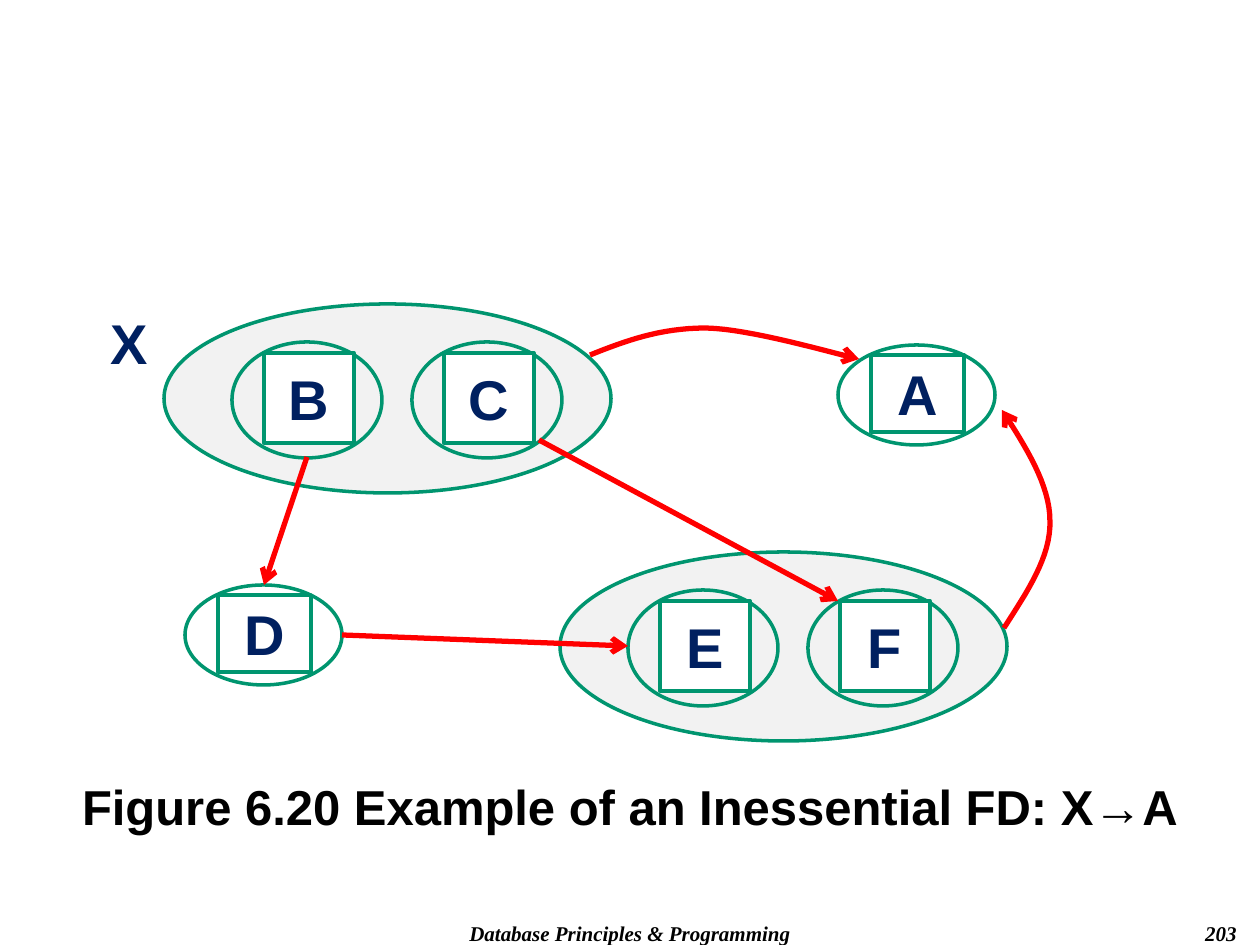
from lxml import etree
from pptx import Presentation
from pptx import util as u
from pptx.dml.color import RGBColor
from pptx.enum import shapes, text
from pptx.oxml import ns

SCALE = 914400 / 126
GREEN = RGBColor(0x00, 0x95, 0x6F)
GREY = RGBColor(0xF2, 0xF2, 0xF2)
WHITE = RGBColor(0xFF, 0xFF, 0xFF)
NAVY = RGBColor(0x00, 0x20, 0x60)
BLACK = RGBColor(0, 0, 0)
RED = RGBColor(0xFF, 0, 0)
CURVE_STEPS = 16


def px(*lengths):
    return [u.Emu(round(length * SCALE)) for length in lengths]


def write(shape, words, size, color, font="Arial", italic=False,
          align=text.PP_ALIGN.CENTER, middle=False):
    frame = shape.text_frame
    frame.word_wrap = True
    frame.text = words
    if middle:
        frame.vertical_anchor = text.MSO_ANCHOR.MIDDLE
        frame.margin_left = frame.margin_right = 0
        frame.margin_top = frame.margin_bottom = 0
    para = frame.paragraphs[0]
    para.alignment = align
    span = para.runs[0].font
    span.name, span.size, span.color.rgb = font, u.Pt(size), color
    span.bold, span.italic = True, italic


def add_text(page, bounds, words, size, color, **style):
    box = page.shapes.add_textbox(*px(*bounds))
    write(box, words, size, color, **style)


def add_outline(page, kind, bounds, fill=None):
    shape = page.shapes.add_shape(kind, *px(*bounds))
    shape.shadow.inherit = False
    shape.line.color.rgb = GREEN
    shape.line.width = u.Pt(2)
    if fill is None:
        shape.fill.background()
    else:
        shape.fill.solid()
        shape.fill.fore_color.rgb = fill
    return shape


def add_attribute(page, words, oval, square):
    add_outline(page, shapes.MSO_SHAPE.OVAL, oval)
    box = add_outline(page, shapes.MSO_SHAPE.RECTANGLE, square, WHITE)
    write(box, words, 32, NAVY, middle=True)


def add_single(page, words, left, top):
    add_attribute(page, words, (left, top, 157, 100),
                  (left + 33, top + 10, 93, 77))


def add_pair(page, names, left, top):
    add_outline(page, shapes.MSO_SHAPE.OVAL, (left, top, 447, 189), GREY)
    for index, name in enumerate(names):
        start = left + 180 * index
        add_attribute(page, name, (start + 68, top + 38, 150, 116),
                      (start + 100, top + 49, 90, 90))


def style_arrow(shape):
    shape.line.color.rgb = RED
    shape.line.width = u.Pt(3)
    outline = shape.element.spPr.find(ns.qn("a:ln"))
    etree.SubElement(outline, ns.qn("a:tailEnd"), type="arrow")


def add_arrow(page, start, end):
    arrow = page.shapes.add_connector(
        shapes.MSO_CONNECTOR.STRAIGHT, *px(*start, *end))
    style_arrow(arrow)
    etree.SubElement(arrow.element.spPr, ns.qn("a:effectLst"))


def bezier(points, t):
    weights = ((1 - t) ** 3, 3 * t * (1 - t) ** 2, 3 * t * t * (1 - t), t ** 3)
    return [sum(w * point[axis] for w, point in zip(weights, points))
            for axis in (0, 1)]


def add_curved_arrow(page, points):
    builder = page.shapes.build_freeform(*px(*points[0]))
    for first in range(0, len(points) - 1, 3):
        part = points[first:first + 4]
        builder.add_line_segments(
            [px(*bezier(part, step / CURVE_STEPS))
             for step in range(1, CURVE_STEPS + 1)], close=False)
    arrow = builder.convert_to_shape()
    arrow.shadow.inherit = False
    arrow.fill.background()
    style_arrow(arrow)


def main():
    deck = Presentation()
    deck.slide_width, deck.slide_height = px(1260, 945)
    page = deck.slides.add_slide(deck.slide_layouts[6])

    footer = dict(font="Times New Roman", italic=True)
    add_text(page, (357, 914, 546, 32), "Database Principles & Programming",
             12, BLACK, **footer)
    add_text(page, (987, 914, 262, 32), "203", 12, BLACK,
             align=text.PP_ALIGN.RIGHT, **footer)

    add_pair(page, "BC", 164, 304)
    add_pair(page, "EF", 560, 552)
    add_single(page, "D", 185, 585)
    add_single(page, "A", 838, 345)
    add_text(page, (96, 315, 67, 54), "X", 32, NAVY, middle=True)

    add_curved_arrow(page, [(590, 355), (625, 341), (660, 328), (706, 328),
                            (751, 329), (832, 353), (859, 359)])
    add_arrow(page, (307, 457), (264, 585))
    add_arrow(page, (539, 440), (838, 601))
    add_arrow(page, (342, 635), (628, 646))
    add_curved_arrow(page, [(1004, 628), (1027, 592), (1051, 557), (1050, 521),
                            (1050, 485), (1026, 447), (1002, 410)])

    add_text(page, (0, 770, 1260, 72),
             "Figure 6.20 Example of an Inessential FD: X→A", 28, BLACK)
    deck.save("out.pptx")


if __name__ == "__main__":
    main()
